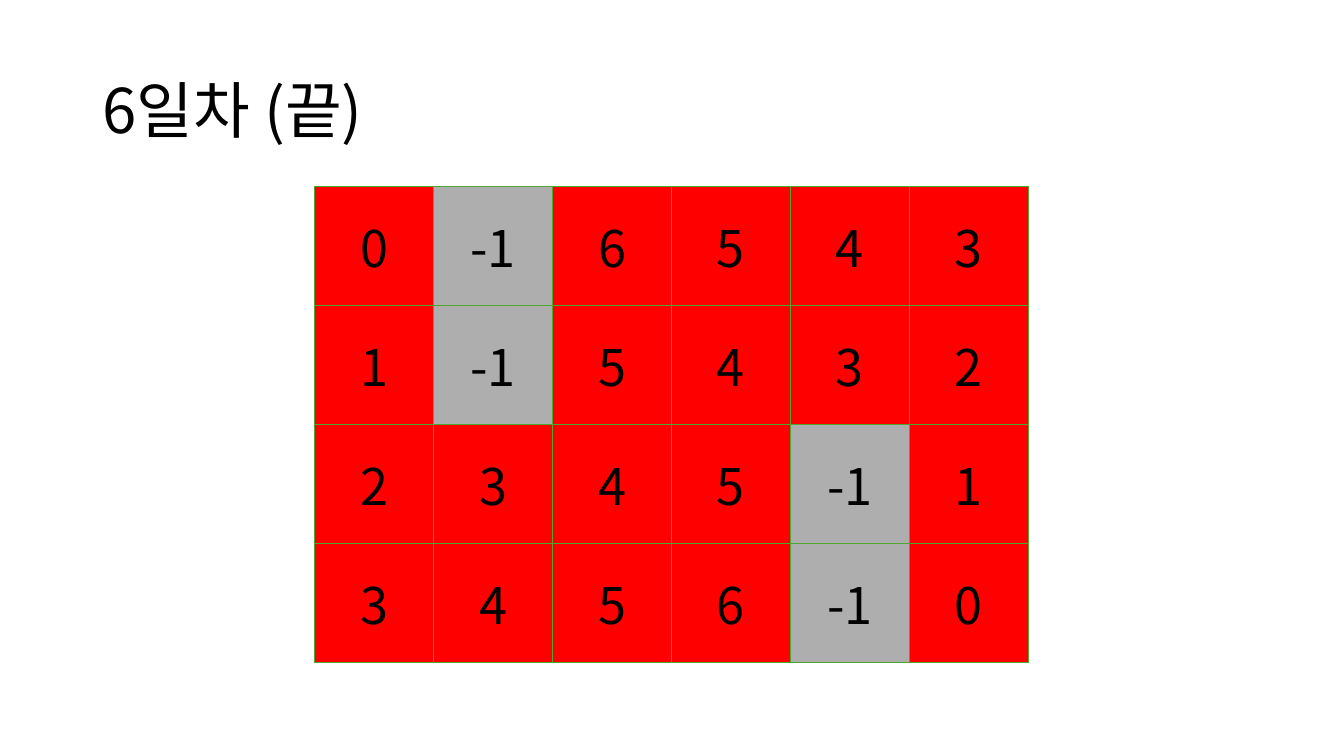
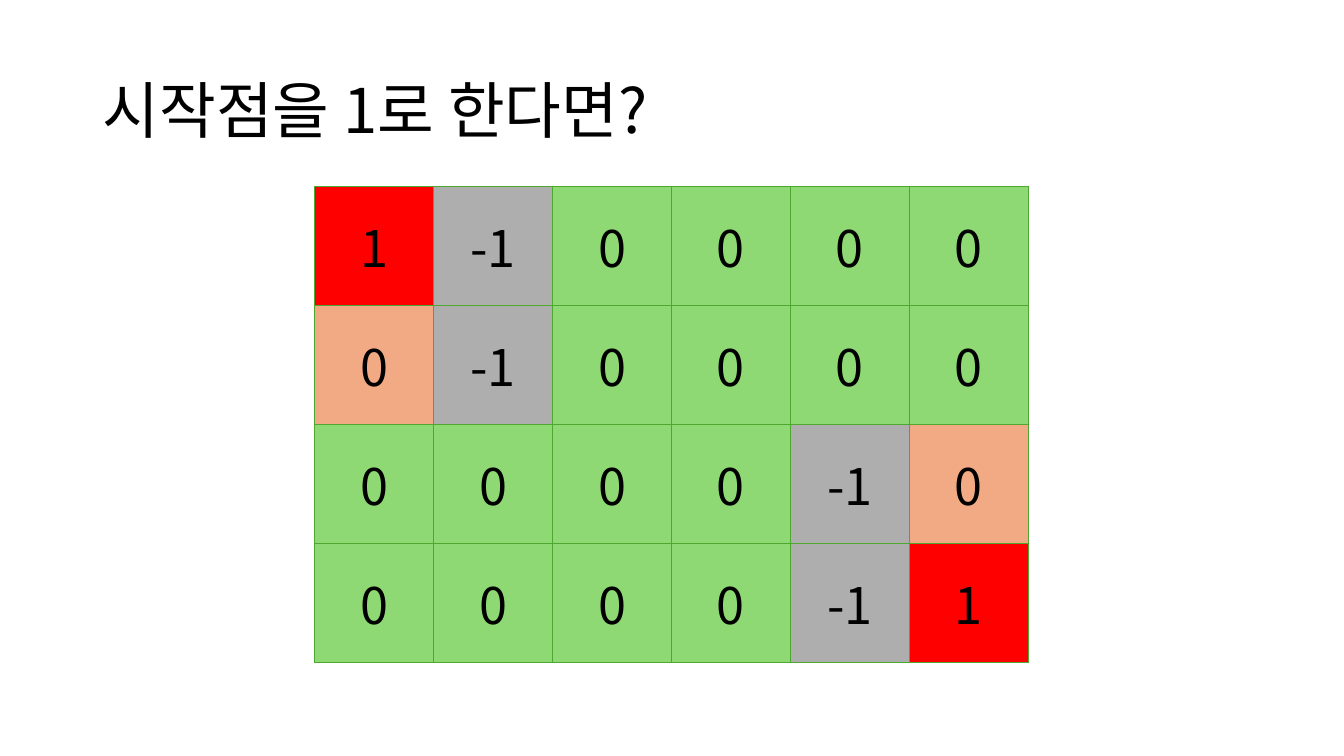
import pptx
import pptx.dml.color
import pptx.enum.text
import pptx.oxml.ns
import pptx.util
from lxml import etree

FONT = "Noto Sans CJK KR"
TEXT_COLOR = "000000"
BORDER_COLOR = "4EA72E"
CELL_SIZE = 1.18
CELL_FILLS = {"R": "FF0000", "W": "AEAEAE", "U": "8ED973", "N": "F2AA84"}

SLIDES = [
    (
        "6일차 (끝)",
        [
            [0, -1, 6, 5, 4, 3],
            [1, -1, 5, 4, 3, 2],
            [2, 3, 4, 5, -1, 1],
            [3, 4, 5, 6, -1, 0],
        ],
        ["RWRRRR", "RWRRRR", "RRRRWR", "RRRRWR"],
    ),
    (
        "시작점을 1로 한다면?",
        [
            [1, -1, 0, 0, 0, 0],
            [0, -1, 0, 0, 0, 0],
            [0, 0, 0, 0, -1, 0],
            [0, 0, 0, 0, -1, 1],
        ],
        ["RWUUUU", "NWUUUU", "UUUUWN", "UUUUWR"],
    ),
]


def rgb(value):
    return pptx.dml.color.RGBColor.from_string(value)


def add_element(parent, tag, **attributes):
    return etree.SubElement(parent, pptx.oxml.ns.qn(tag), **attributes)


def style_paragraph(paragraph, size):
    font = paragraph.font
    font.size = pptx.util.Pt(size)
    font.name = FONT
    font.color.rgb = rgb(TEXT_COLOR)
    properties = paragraph._p.pPr.find(pptx.oxml.ns.qn("a:defRPr"))
    add_element(properties, "a:ea", typeface=FONT)


def add_title(slide, text):
    box = slide.shapes.add_textbox(
        pptx.util.Inches(0.92),
        pptx.util.Inches(0.4),
        pptx.util.Inches(11.5),
        pptx.util.Inches(1.45),
    )
    frame = box.text_frame
    frame.word_wrap = True
    frame.vertical_anchor = pptx.enum.text.MSO_ANCHOR.MIDDLE
    paragraph = frame.paragraphs[0]
    paragraph.text = text
    paragraph.line_spacing = 0.9
    style_paragraph(paragraph, 44)


def add_borders(cell):
    properties = cell._tc.get_or_add_tcPr()
    for side in ("a:lnL", "a:lnR", "a:lnT", "a:lnB"):
        line = add_element(properties, side, w=str(pptx.util.Pt(1)))
        fill = add_element(line, "a:solidFill")
        add_element(fill, "a:srgbClr", val=BORDER_COLOR)


def fill_cell(cell, value, color):
    add_borders(cell)
    cell.fill.solid()
    cell.fill.fore_color.rgb = rgb(color)
    cell.vertical_anchor = pptx.enum.text.MSO_ANCHOR.MIDDLE
    paragraph = cell.text_frame.paragraphs[0]
    paragraph.text = str(value)
    paragraph.alignment = pptx.enum.text.PP_ALIGN.CENTER
    style_paragraph(paragraph, 36)


def add_grid(slide, values, states):
    row_count, column_count = len(values), len(values[0])
    table = slide.shapes.add_table(
        row_count,
        column_count,
        pptx.util.Inches(3.12),
        pptx.util.Inches(1.85),
        pptx.util.Inches(CELL_SIZE * column_count),
        pptx.util.Inches(CELL_SIZE * row_count),
    ).table
    table.first_row = False
    table.horz_banding = False
    for row, (row_values, row_states) in enumerate(zip(values, states)):
        for column, (value, state) in enumerate(zip(row_values, row_states)):
            fill_cell(table.cell(row, column), value, CELL_FILLS[state])


def main():
    presentation = pptx.Presentation()
    presentation.slide_width = pptx.util.Inches(13.33)
    presentation.slide_height = pptx.util.Inches(7.5)
    for title, values, states in SLIDES:
        slide = presentation.slides.add_slide(presentation.slide_layouts[6])
        add_title(slide, title)
        add_grid(slide, values, states)
    presentation.save("out.pptx")


if __name__ == "__main__":
    main()
